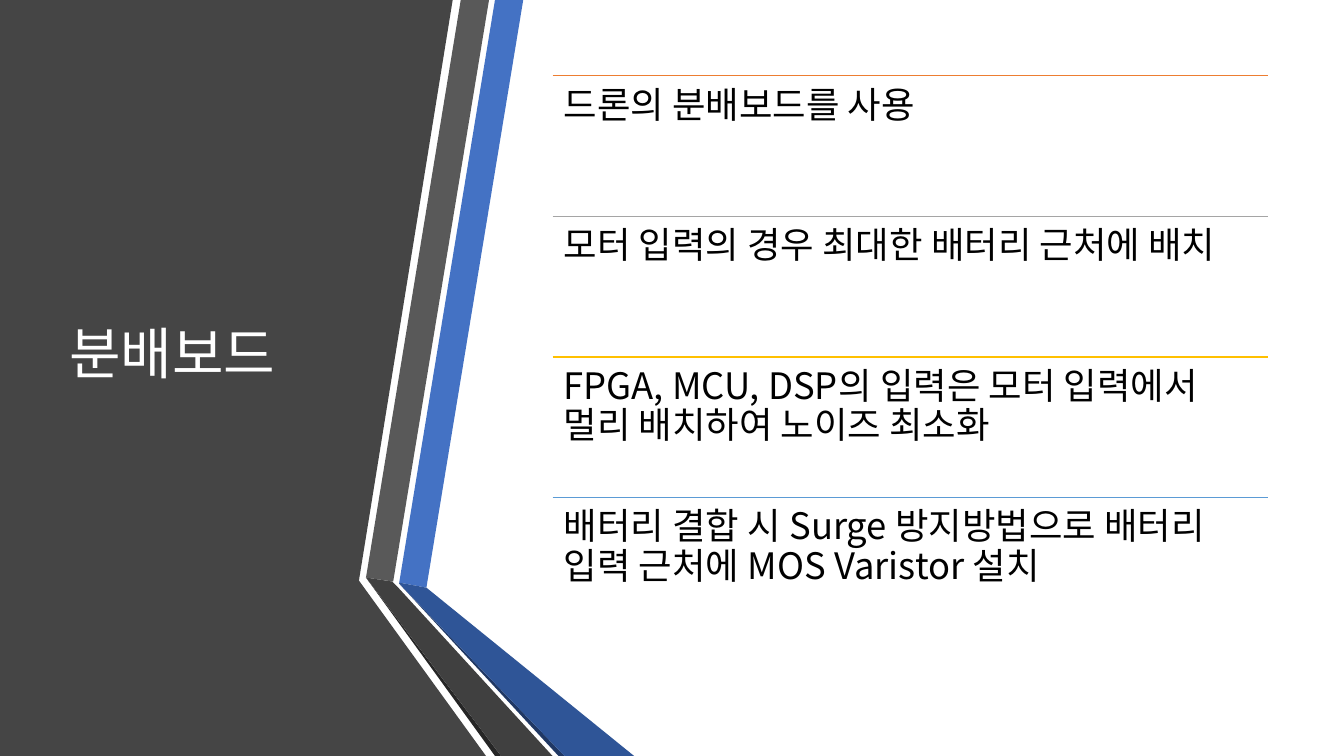
from lxml import etree
from pptx import Presentation
from pptx.dml.color import RGBColor
from pptx.enum import shapes, text
from pptx.oxml import ns
from pptx.util import Emu, Pt

PX = 9144
FONT = "Noto Sans CJK KR"
WIDTH, HEIGHT = 1333, 750

BANDS = [
    ("454545", [(0, 0), (449, 0), (356, 576), (482, 750), (0, 750)]),
    ("4472C4", [(396, 578), (423, 583), (519, 0), (491, 0)]),
    ("595959", [(485, 0), (457, 0), (363, 573), (390, 577)]),
    ("262626", [(363, 573), (491, 750), (497, 750)]),
    ("203864", [(396, 579), (554, 750), (560, 750)]),
    ("2F5597", [(396, 579), (560, 750), (629, 750), (423, 583), (396, 578)]),
    ("404040", [(548, 750), (395, 583), (389, 577), (363, 573), (497, 750)]),
]
POINTS = [
    ("ED7D31", "드론의 분배보드를 사용"),
    ("A5A5A5", "모터 입력의 경우 최대한 배터리 근처에 배치"),
    ("FFC000", "FPGA, MCU, DSP의 입력은 모터 입력에서 멀리 배치하여 노이즈 최소화"),
    ("5B9BD5", "배터리 결합 시 Surge 방지방법으로 배터리 입력 근처에 MOS Varistor 설치"),
]


def px(*lengths):
    return [Emu(round(length * PX)) for length in lengths]


def color(value):
    return RGBColor.from_string(value)


def add_text(page, box, words, size, ink, insets, anchor):
    frame = page.shapes.add_textbox(*px(*box)).text_frame
    frame.word_wrap = True
    frame.vertical_anchor = anchor
    across, down = px(*insets)
    frame.margin_left = frame.margin_right = across
    frame.margin_top = frame.margin_bottom = down
    para = frame.paragraphs[0]
    para.text = words
    para.line_spacing = 0.9
    font = para.font
    font.size = Pt(size)
    font.name = FONT
    font.color.rgb = color(ink)
    defaults = para._p.pPr.find(ns.qn("a:defRPr"))
    etree.SubElement(defaults, ns.qn("a:ea")).set("typeface", FONT)


def add_bands(page, box):
    left, top = box[:2]
    for fill, corners in BANDS:
        start, *rest = [(left + x, top + y) for x, y in corners]
        builder = page.shapes.build_freeform(*start, scale=PX)
        builder.add_line_segments(rest, close=True)
        band = builder.convert_to_shape()
        band.shadow.inherit = False
        band.fill.solid()
        band.fill.fore_color.rgb = color(fill)
        band.line.fill.background()


def add_title(page, box):
    add_text(page, box, "분배보드", 40, "FFFFFF", (10, 5), text.MSO_ANCHOR.MIDDLE)


def add_points(page, box):
    left, top, width, height = box
    row = height / len(POINTS)
    for index, (ink, words) in enumerate(POINTS):
        y = top + index * row
        rule = page.shapes.add_connector(
            shapes.MSO_CONNECTOR.STRAIGHT, *px(left, y, left + width, y))
        rule.line.color.rgb = color(ink)
        rule.line.width = Pt(1)
        etree.SubElement(rule._element.spPr, ns.qn("a:effectLst"))
        add_text(page, (left, y, width, row), words, 26, "000000", (11, 11),
                 text.MSO_ANCHOR.TOP)


def main():
    deck = Presentation()
    deck.slide_width, deck.slide_height = px(WIDTH, HEIGHT)
    page = deck.slides.add_slide(deck.slide_layouts[6])
    add_bands(page, (0, 0, 629, HEIGHT))
    add_title(page, (59, 75, 304, 558))
    add_points(page, (548, 75, 710, 558))
    deck.save("out.pptx")


if __name__ == "__main__":
    main()
